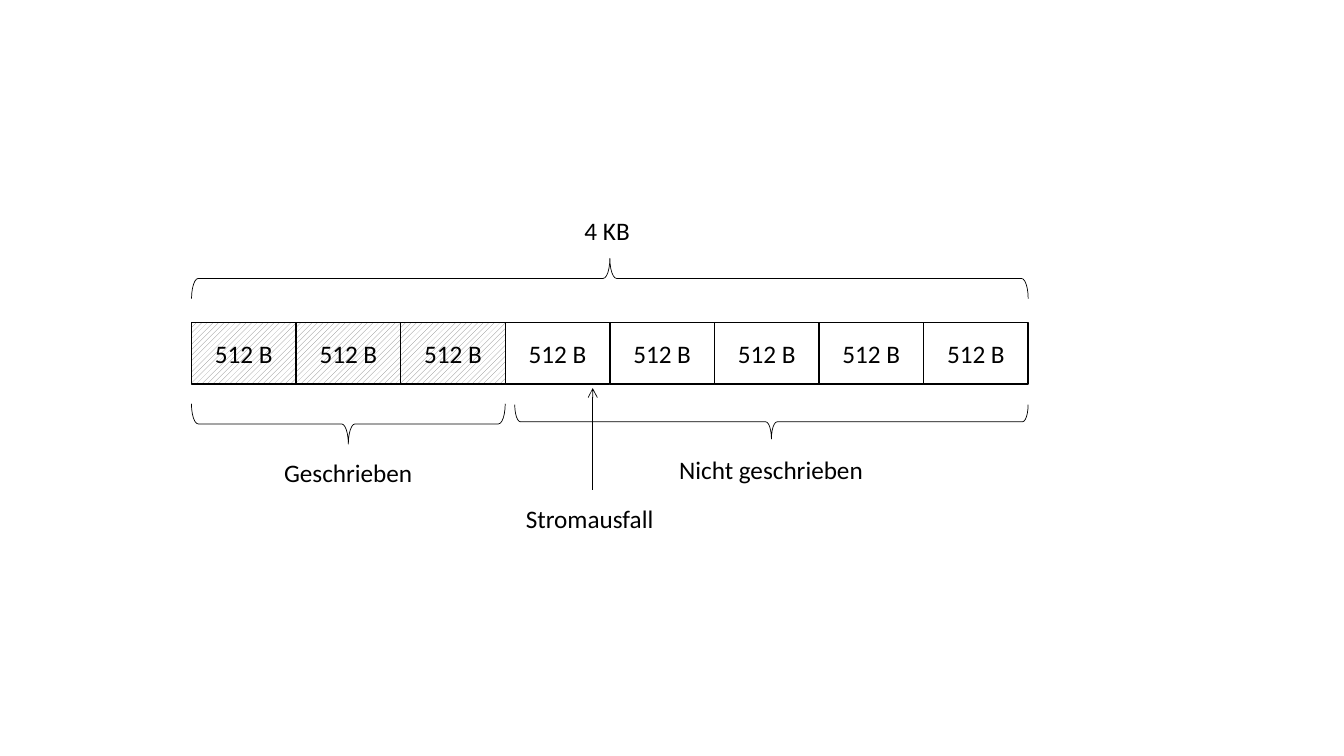
from lxml import etree
from pptx import Presentation
from pptx.dml.color import RGBColor
from pptx.enum.dml import MSO_PATTERN
from pptx.enum.shapes import MSO_CONNECTOR, MSO_SHAPE
from pptx.enum.text import MSO_ANCHOR, MSO_AUTO_SIZE, PP_ALIGN
from pptx.oxml.ns import qn
from pptx.util import Pt

RECT, BRACE = MSO_SHAPE.RECTANGLE, MSO_SHAPE.LEFT_BRACE
STRAIGHT = MSO_CONNECTOR.STRAIGHT
HATCH = MSO_PATTERN.WIDE_UPWARD_DIAGONAL
LEFT, CENTER = PP_ALIGN.LEFT, PP_ALIGN.CENTER
MIDDLE = MSO_ANCHOR.MIDDLE
FIT_SHAPE = MSO_AUTO_SIZE.SHAPE_TO_FIT_TEXT
UP, DOWN = 90, 270  # rotation that turns the brace tip up or down

BLOCKS, WRITTEN = 8, 3
ROW_LEFT, ROW_TOP = 136.8, 230.2
BLOCK_W, BLOCK_H = 74.7, 44.1


def rgb(value):
    return RGBColor.from_string(value)


class Diagram:
    font, size = "Calibri", 18
    ink, paper, hatch = "000000", "FFFFFF", "808080"

    def __init__(self, slide):
        self.shapes = slide.shapes

    def set_text(self, sp, text, align):
        tf = sp.text_frame
        tf.word_wrap = True
        tf.text = text
        p = tf.paragraphs[0]
        p.alignment = align
        font = p.runs[0].font
        font.name, font.size = self.font, Pt(self.size)
        font.color.rgb = rgb(self.ink)

    def outline(self, sp, width):
        sp.line.color.rgb = rgb(self.ink)
        sp.line.width = Pt(width)

    def block(self, x, y, text, hatched):
        sp = self.shapes.add_shape(RECT, Pt(x), Pt(y), Pt(BLOCK_W), Pt(BLOCK_H))
        sp.shadow.inherit = False
        if hatched:
            sp.fill.patterned()
            sp.fill.pattern = HATCH
            sp.fill.fore_color.rgb = rgb(self.hatch)
            sp.fill.back_color.rgb = rgb(self.paper)
        else:
            sp.fill.solid()
            sp.fill.fore_color.rgb = rgb(self.paper)
        self.outline(sp, 1)
        self.set_text(sp, text, CENTER)
        sp.text_frame.vertical_anchor = MIDDLE

    def brace(self, left, right, mid_y, depth, rotation):
        """Draw a brace lying flat from left to right around mid_y."""
        length, mid_x = right - left, (left + right) / 2
        sp = self.shapes.add_shape(BRACE, Pt(mid_x - depth / 2),
                                   Pt(mid_y - length / 2), Pt(depth), Pt(length))
        sp.rotation = rotation
        sp.adjustments[0] = 0.167
        sp.shadow.inherit = False
        sp.fill.background()
        self.outline(sp, 0.5)

    def label(self, x, y, w, text, align=CENTER):
        sp = self.shapes.add_textbox(Pt(x), Pt(y), Pt(w), Pt(28.8))
        self.set_text(sp, text, align)
        sp.text_frame.auto_size = FIT_SHAPE

    def arrow(self, x1, y1, x2, y2):
        cx = self.shapes.add_connector(STRAIGHT, Pt(x1), Pt(y1), Pt(x2), Pt(y2))
        self.outline(cx, 0.5)
        sp_pr = cx._element.spPr
        etree.SubElement(sp_pr.find(qn("a:ln")), qn("a:tailEnd"), type="arrow")
        etree.SubElement(sp_pr, qn("a:effectLst"))


def main():
    prs = Presentation()
    prs.slide_width, prs.slide_height = Pt(960), Pt(540)
    diagram = Diagram(prs.slides.add_slide(prs.slide_layouts[6]))

    for i in range(BLOCKS):
        diagram.block(ROW_LEFT + i * BLOCK_W, ROW_TOP, "512 B", i < WRITTEN)

    row_right = ROW_LEFT + BLOCKS * BLOCK_W
    written_right = ROW_LEFT + WRITTEN * BLOCK_W
    diagram.brace(ROW_LEFT, written_right, 302.8, 28.8, DOWN)
    diagram.brace(ROW_LEFT, row_right, 198.9, 28.8, UP)
    diagram.label(410.4, 150.5, 82, "4 KB", LEFT)
    diagram.label(182.2, 323.3, 133, "Geschrieben")
    diagram.brace(written_right + 6.8, row_right, 301.3, 24.5, DOWN)
    diagram.label(460.8, 321.1, 180, "Nicht geschrieben")
    diagram.arrow(423.4, 349.9, 423.4, 277.2)
    diagram.label(331.2, 355.7, 180, "Stromausfall")

    prs.save("out.pptx")


if __name__ == "__main__":
    main()
